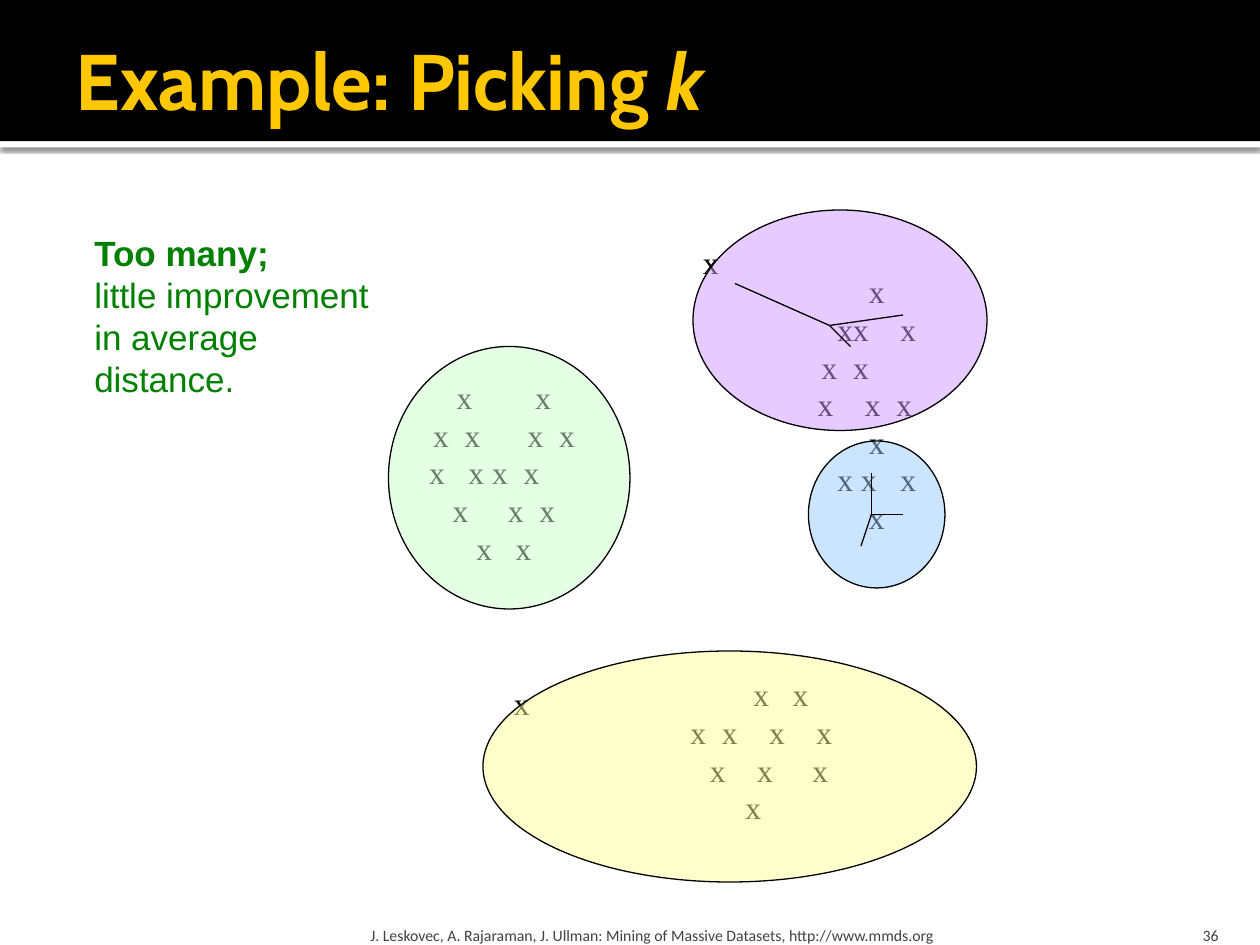
"""Build the slide that shows a clustering with too many clusters."""
from math import sqrt
from typing import NamedTuple

from lxml import etree
from pptx import Presentation
from pptx.dml.color import RGBColor
from pptx.dml.fill import FillFormat
from pptx.enum.shapes import MSO_CONNECTOR, MSO_SHAPE
from pptx.enum.text import MSO_ANCHOR, PP_ALIGN
from pptx.oxml.ns import qn
from pptx.shapes.autoshape import Shape
from pptx.slide import Slide
from pptx.text.text import TextFrame, _Paragraph
from pptx.util import Inches, Pt

OVAL, RECTANGLE = MSO_SHAPE.OVAL, MSO_SHAPE.RECTANGLE
STRAIGHT = MSO_CONNECTOR.STRAIGHT
TOP, MIDDLE, BOTTOM = MSO_ANCHOR.TOP, MSO_ANCHOR.MIDDLE, MSO_ANCHOR.BOTTOM
LEFT, RIGHT = PP_ALIGN.LEFT, PP_ALIGN.RIGHT

Box = tuple[float, float, float, float]
Point = tuple[float, float]

BLACK, WHITE = "000000", "FFFFFF"
GRID_STEP = 1 / 12
CHAR_UNIT = 0.0625
POINT_PITCH = 21.5
GAPS = {2: "", 3: " "}
POINT_FORMAT = {"name": "Times New Roman", "size": Pt(18)}
TITLE_FORMAT = {"name": "Cabin", "size": Pt(45), "bold": True}
FOOTER_FORMAT = {"name": "Calibri", "size": Pt(9)}
REMARK_FORMAT = {"name": "Arial", "size": Pt(20)}


class Label(NamedTuple):
    """A text box whose paragraphs are lists of (text, extra format) runs."""
    box: Box
    paragraphs: list[list[tuple[str, dict]]]
    style: dict
    color: str
    insets: Box = (0.1, 0.05, 0.1, 0.05)
    anchor: MSO_ANCHOR = TOP
    align: PP_ALIGN = LEFT
    pitch: float | None = None


class PointCloud(NamedTuple):
    """Rows of data points, in character units from the centre of a grid box."""
    box: Box
    rows: list[tuple[float, ...]]


class Cluster(NamedTuple):
    """A translucent ellipse in grid steps, with spokes from its centroid."""
    box: Box
    color: str
    centroid: Point = (0, 0)
    spoke_ends: tuple[Point, ...] = ()


LABELS = [
    Label((0.5, 0.17, 9, 0.92), [[("Example: Picking ", {}), ("k", {"italic": True})]],
          TITLE_FORMAT, "FFC700", (0.1, 0.05, 0.05, 0.05), MIDDLE),
    Label((2.89, 7.2, 6.02, 0.3),
          [[("J. Leskovec, A. Rajaraman, J. Ullman: Mining of Massive Datasets, "
             "http://www.mmds.org", {})]],
          FOOTER_FORMAT, "414141", (0.05, 0.05, 0.05, 0), BOTTOM),
    Label((8.97, 7.2, 0.8, 0.3), [[("36", {})]],
          FOOTER_FORMAT, "414141", (0.1, 0.05, 0.1, 0), BOTTOM, RIGHT),
    Label((0.65, 1.79, 2.4, 1.45),
          [[("Too many;", {"bold": True})], [("little improvement", {})],
           [("in average", {})], [("distance.", {})]],
          REMARK_FORMAT, "008000", pitch=24),
]
OUTLIERS = [
    Label((left, top, 0.37, 0.5), [[("x", {})]], POINT_FORMAT, BLACK, pitch=POINT_PITCH)
    for left, top in [(5.48, 1.88), (3.98, 5.38)]
]
POINT_CLOUDS = [
    PointCloud((36, 30, 24, 30), [(-6, 4), (-9, -5, 3, 7), (-9.5, -4.5, -1.5, 2.5),
                                  (-6.5, 0.5, 4.5), (-3.5, 1.5)]),
    PointCloud((72, 20, 23, 37), [(-1,), (-5, -3, 3), (-7, -3), (-7.5, -1.5, 2.5),
                                  (-1,), (-5, -2, 3), (-1,)]),
    PointCloud((60, 61, 25, 21), [(-1, 4), (-9, -5, 1, 7), (-6.5, -0.5, 6.5), (-2,)]),
]
CLUSTERS = [
    Cluster((46, 62, 47, 22), "FFFF99"),
    Cluster((37, 33, 23, 25), "CCFFCC"),
    Cluster((66, 20, 28, 21), "CC99FF", (79, 31), ((70, 27), (86, 30), (81, 33))),
    Cluster((77, 42, 13, 14), "99CCFF", (83, 49), ((83, 45), (86, 49), (82, 52))),
]


def on_grid(steps: tuple[float, ...]) -> tuple[float, ...]:
    """Turn grid steps into inches."""
    return tuple(step * GRID_STEP for step in steps)


def paint(fill: FillFormat, color: str | None) -> None:
    """Give a fill a solid colour, or none."""
    if color:
        fill.solid()
        fill.fore_color.rgb = RGBColor.from_string(color)
    else:
        fill.background()


def apply_format(target: object, values: dict) -> None:
    """Set each named attribute of the target."""
    for name, value in values.items():
        setattr(target, name, value)


def set_frame(frame: TextFrame, insets: Box, anchor: MSO_ANCHOR) -> None:
    """Set wrapping, insets and vertical anchor of a text frame."""
    sides = ("margin_left", "margin_top", "margin_right", "margin_bottom")
    margins = {side: Inches(inset) for side, inset in zip(sides, insets)}
    apply_format(frame, {"word_wrap": True, "vertical_anchor": anchor, **margins})


def add_paragraph(frame: TextFrame, index: int, runs: list[tuple[str, dict]], style: dict,
                  color: str, align: PP_ALIGN, pitch: float | None) -> _Paragraph:
    """Fill the paragraph at an index with formatted runs."""
    paragraph = frame.add_paragraph() if index else frame.paragraphs[0]
    paragraph.alignment = align
    if pitch:
        paragraph.line_spacing = Pt(pitch)
    for text, extra in runs:
        run = paragraph.add_run()
        run.text = text
        apply_format(run.font, {**style, **extra})
        paint(run.font.fill, color)
    return paragraph


def draw_label(slide: Slide, label: Label) -> None:
    """Draw a text box."""
    frame = slide.shapes.add_textbox(*map(Inches, label.box)).text_frame
    set_frame(frame, label.insets, label.anchor)
    for index, runs in enumerate(label.paragraphs):
        add_paragraph(frame, index, runs, label.style, label.color, label.align, label.pitch)


def draw_shape(slide: Slide, kind: MSO_SHAPE, box: Box, fill: str | None = None,
               line: str | None = None) -> Shape:
    """Draw a preset shape without a shadow."""
    shape = slide.shapes.add_shape(kind, *map(Inches, box))
    shape.shadow.inherit = False
    shape.line.width = Pt(0.75)
    paint(shape.fill, fill)
    paint(shape.line.fill, line)
    return shape


def draw_header(slide: Slide) -> None:
    """Draw the title band and the shadowed strip below it."""
    strip = draw_shape(slide, RECTANGLE, (0, 1.12, 10, 0.05), WHITE)
    shadow = etree.SubElement(strip._element.spPr.find(qn("a:effectLst")), qn("a:outerShdw"),
                              blurRad=str(Pt(2.5)), dist=str(Pt(0.8)), dir="5400000")
    tint = etree.SubElement(shadow, qn("a:srgbClr"), val=BLACK)
    etree.SubElement(tint, qn("a:alpha"), val="60000")
    draw_shape(slide, RECTANGLE, (0, 0, 10, 1.12), BLACK)


def draw_point_cloud(slide: Slide, cloud: PointCloud) -> None:
    """Draw rows of points on tab stops inside an unfilled ellipse."""
    box = on_grid(cloud.box)
    frame = draw_shape(slide, OVAL, box).text_frame
    set_frame(frame, (0, 0, 0, 0), MIDDLE)
    for index, row in enumerate(cloud.rows):
        gaps = [GAPS.get(x - before, "\t") for before, x in zip((-99, *row), row)]
        text = "".join(gap + "x" for gap in gaps)
        paragraph = add_paragraph(frame, index, [(text, {})], POINT_FORMAT, BLACK,
                                  LEFT, POINT_PITCH)
        stops = etree.SubElement(paragraph._p.get_or_add_pPr(), qn("a:tabLst"))
        for x in (x for x, gap in zip(row, gaps) if gap == "\t"):
            position = Inches(box[2] / sqrt(8) + x * CHAR_UNIT)
            etree.SubElement(stops, qn("a:tab"), pos=str(position), algn="l")


def draw_cluster(slide: Slide, cluster: Cluster) -> None:
    """Draw a half-transparent ellipse and the spokes of its centroid."""
    ellipse = draw_shape(slide, OVAL, on_grid(cluster.box), cluster.color, BLACK)
    tint = ellipse._element.spPr.find(qn("a:solidFill")).find(qn("a:srgbClr"))
    etree.SubElement(tint, qn("a:alpha"), val="50000")
    for end in cluster.spoke_ends:
        ends = map(Inches, on_grid(cluster.centroid + end))
        spoke = slide.shapes.add_connector(STRAIGHT, *ends)
        spoke.line.width = Pt(0.75)
        paint(spoke.line.fill, BLACK)
        etree.SubElement(spoke._element.spPr, qn("a:effectLst"))


def main() -> None:
    """Build and save the presentation."""
    deck = Presentation()
    deck.slide_width, deck.slide_height = Inches(10), Inches(7.5)
    slide = deck.slides.add_slide(deck.slide_layouts[6])
    draw_header(slide)
    for draw, parts in [(draw_label, LABELS), (draw_point_cloud, POINT_CLOUDS),
                        (draw_label, OUTLIERS), (draw_cluster, CLUSTERS)]:
        for part in parts:
            draw(slide, part)
    deck.save("out.pptx")


if __name__ == "__main__":
    main()
